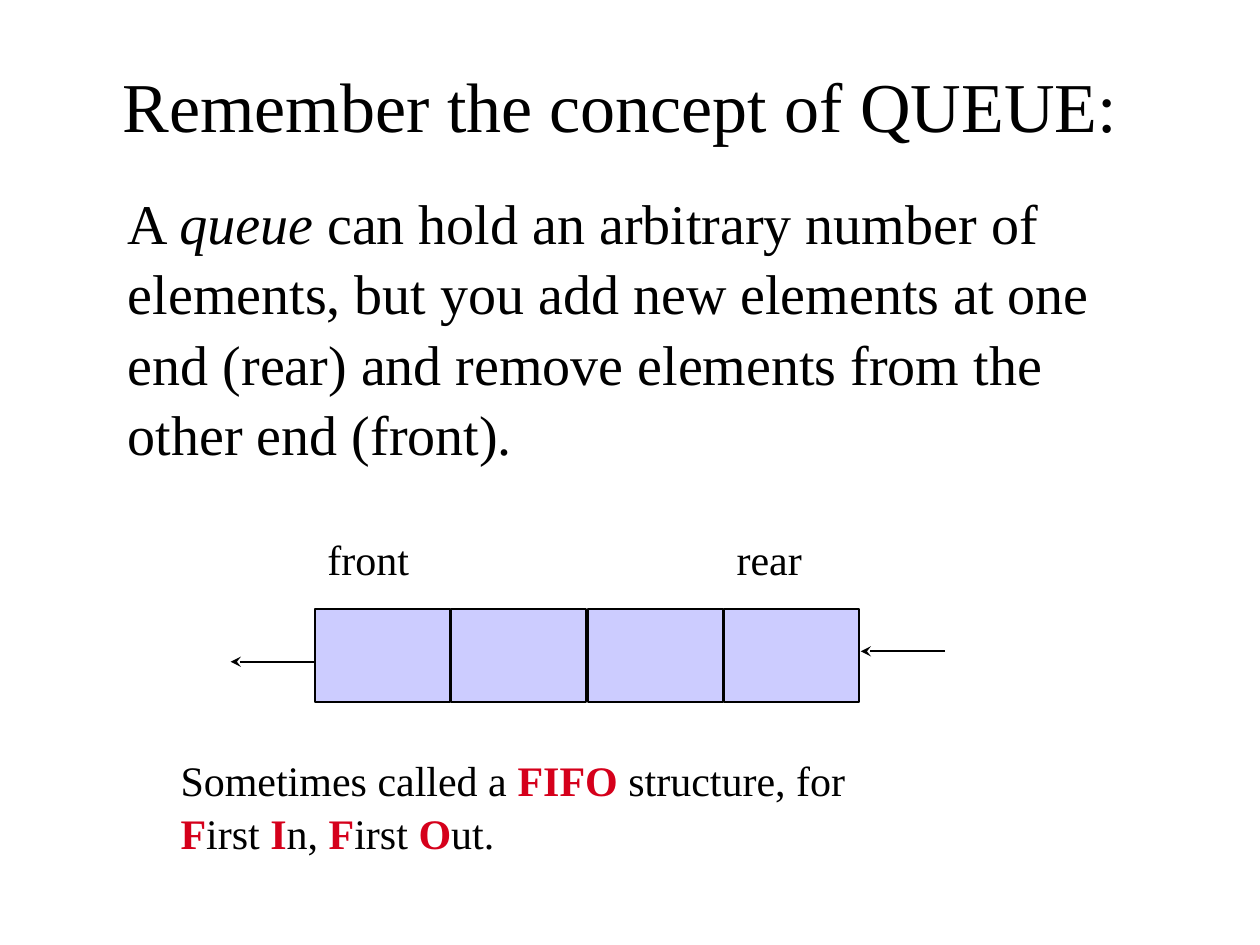
from pptx import Presentation
from pptx.dml.color import RGBColor
from pptx.enum.shapes import MSO_CONNECTOR as CONN, MSO_SHAPE as SHAPE
from pptx.enum.text import MSO_ANCHOR as ANCHOR, PP_ALIGN as ALIGN
from pptx.util import Cm, Pt
from lxml.etree import SubElement
from pptx.oxml.ns import qn

COLORS = {"text": "000000", "accent": "D5001B", "cell": "CCCCFF", "line": "000000"}
FONT = "Times New Roman"


def rgb(name):
    return RGBColor.from_string(COLORS[name])


def add_text(slide, box, runs, size, align=ALIGN.LEFT, spacing=1.05, **frame):
    """Runs are (text, format) pairs; a format may hold color, bold or italic."""
    tf = slide.shapes.add_textbox(*map(Cm, box)).text_frame
    for name, value in {"word_wrap": True, **frame}.items():
        setattr(tf, name, value)
    p = tf.paragraphs[0]
    p.alignment, p.line_spacing = align, spacing
    for text, extra in runs:
        if text == "\n":
            p.add_line_break()
            continue
        r = p.add_run()
        r.text = text
        fmt = {"name": FONT, "size": Pt(size), **extra}
        r.font.color.rgb = rgb(fmt.pop("color", "text"))
        for name, value in fmt.items():
            setattr(r.font, name, value)


def add_arrow(slide, x1, x2, y):
    cxn = slide.shapes.add_connector(CONN.STRAIGHT, Cm(x1), Cm(y), Cm(x2), Cm(y))
    cxn.line.color.rgb = rgb("line")
    cxn.line.width = Pt(1)
    SubElement(cxn.line._get_or_add_ln(), qn("a:tailEnd"), type="stealth")
    SubElement(cxn._element.spPr, qn("a:effectLst"))


def add_title(slide, box):
    # The deep bottom inset lifts the centred line
    add_text(slide, box, [("Remember the concept of QUEUE:", {})], 40, ALIGN.CENTER,
             spacing=1.0, vertical_anchor=ANCHOR.MIDDLE, margin_bottom=Cm(1.7))


def add_definition(slide, box):
    add_text(slide, box, [
        ("A ", {}),
        ("queue", {"italic": True}),
        (" can hold an arbitrary number of elements, but you add new elements "
         "at one end (rear) and remove elements from the other end (front).", {}),
    ], 32)


def add_queue(slide, box, count=4, gap=0.03):
    left, top, width, height = box
    cell_w = (width - gap * (count - 1)) / count
    pitch = cell_w + gap

    # Cells
    for i in range(count):
        sp = slide.shapes.add_shape(SHAPE.RECTANGLE, Cm(left + i * pitch), Cm(top),
                                    Cm(cell_w), Cm(height))
        sp.shadow.inherit = False
        sp.fill.solid()
        sp.fill.fore_color.rgb = rgb("cell")
        sp.line.color.rgb = rgb("line")
        sp.line.width = Pt(1)

    # Elements leave at the front and enter at the rear
    add_arrow(slide, left, left - 1.7, top + 1.06)
    add_arrow(slide, left + width + 1.73, left + width + 0.03, top + 0.85)

    # End labels
    for label, i in (("front", 0), ("rear", count - 1)):
        add_text(slide, (left + i * pitch, top - 1.69, 2.33, 1.27), [(label, {})], 24)


def add_fifo_note(slide, box):
    key = {"color": "accent", "bold": True}
    runs = [("Sometimes called a ", {}), ("FIFO", key), (" structure, for", {}), ("\n", {})]
    for initial, rest in (("F", "irst "), ("I", "n, "), ("F", "irst "), ("O", "ut.")):
        runs += [(initial, key), (rest, {})]
    add_text(slide, box, runs, 24)


def main():
    prs = Presentation()
    prs.slide_width, prs.slide_height = Cm(25.4), Cm(19.05)
    slide = prs.slides.add_slide(prs.slide_layouts[6])
    add_title(slide, (1.7, 0.85, 21.6, 4.08))
    add_definition(slide, (2.33, 3.6, 20.96, 15.45))
    add_queue(slide, (6.35, 12.28, 10.97, 1.88))
    add_fifo_note(slide, (3.39, 15.03, 14.12, 2.29))
    prs.save("out.pptx")


if __name__ == "__main__":
    main()
